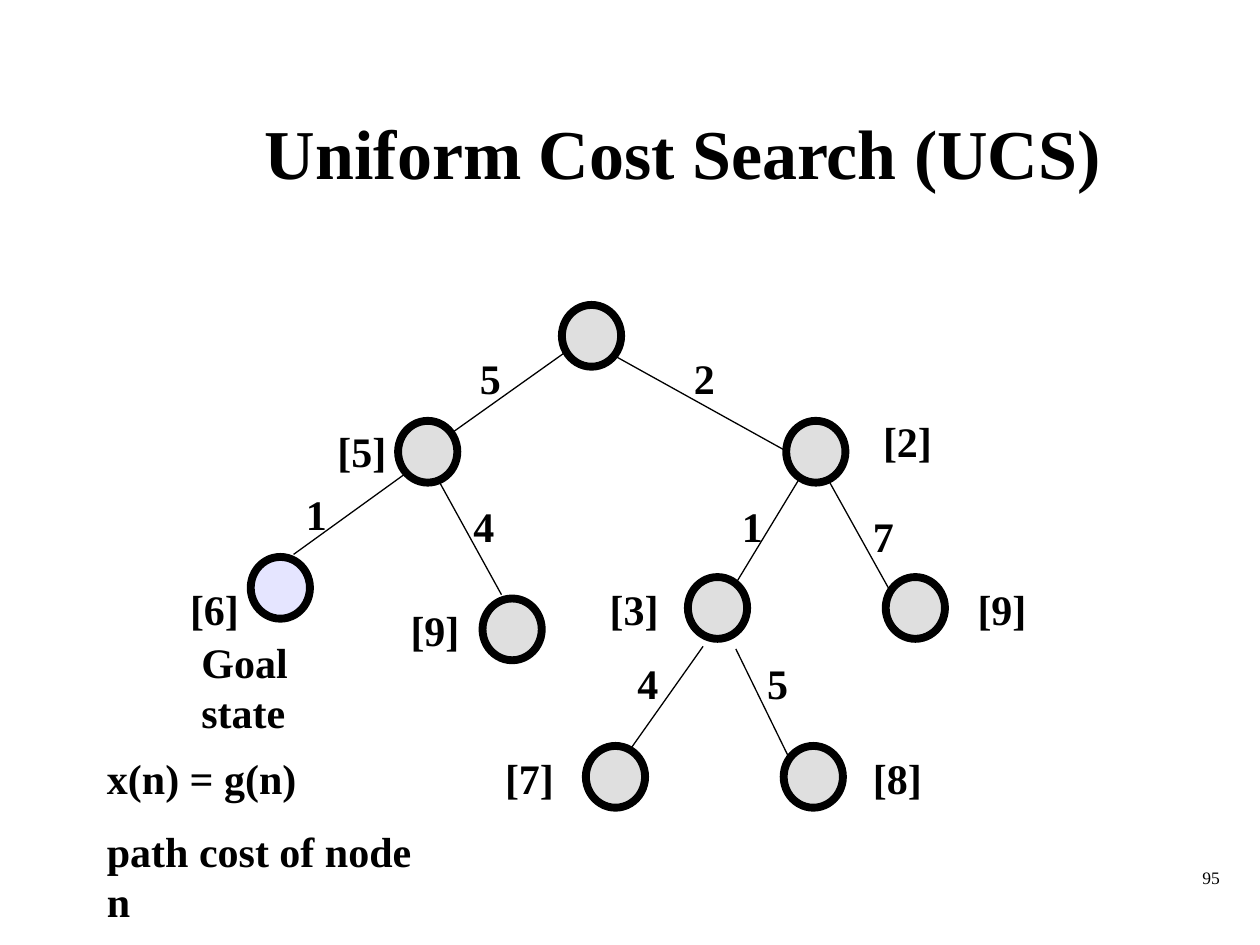
"""Build a slide with a uniform cost search tree."""
from typing import NamedTuple

from lxml.etree import SubElement
from pptx import Presentation
from pptx.dml.color import RGBColor
from pptx.enum.shapes import MSO_CONNECTOR, MSO_SHAPE
from pptx.enum.text import MSO_ANCHOR, MSO_AUTO_SIZE, PP_ALIGN
from pptx.oxml.ns import qn
from pptx.util import Inches, Pt

FONT = "Times New Roman"
COLORS = {"ink": "000000", "node": "C0C0C0", "goal": "CCCCFF"}


class Node(NamedTuple):
    x: float
    y: float
    fill: str = "node"


class Edge(NamedTuple):
    x1: float
    y1: float
    x2: float
    y2: float


class Label(NamedTuple):
    text: str
    x: float
    y: float


NODES = [
    Node(4.46, 2.42), Node(3.16, 3.34), Node(6.24, 3.34),
    Node(1.99, 4.42, "goal"), Node(3.83, 4.75),
    Node(5.46, 4.58), Node(7.03, 4.58),
    Node(4.65, 5.92), Node(6.22, 5.92),
]
EDGES = [
    Edge(4.48, 2.8, 3.58, 3.44), Edge(4.87, 2.82, 6.24, 3.58),
    Edge(3.23, 3.75, 2.33, 4.4), Edge(3.49, 3.83, 3.98, 4.72),
    Edge(6.35, 3.79, 5.84, 4.63), Edge(6.58, 3.82, 7.07, 4.7),
    Edge(5.58, 5.13, 5, 5.95), Edge(5.84, 5.15, 6.26, 6.01),
]
COSTS = [
    Label("5", 3.71, 2.75), Label("2", 5.41, 2.75),
    Label("1", 2.33, 3.83), Label("4", 3.66, 3.92),
    Label("1", 5.79, 3.92), Label("7", 6.83, 4),
    Label("4", 4.96, 5.17), Label("5", 5.99, 5.17),
]
TOTALS = [
    Label("[5]", 2.58, 3.33), Label("[2]", 6.91, 3.25),
    Label("[6]", 1.41, 4.58), Label("[9]", 3.16, 4.75),
    Label("[3]", 4.74, 4.58), Label("[9]", 7.66, 4.58),
    Label("[7]", 3.91, 5.92), Label("[8]", 6.83, 5.92),
]


def color(name: str) -> RGBColor:
    """Return a named colour."""
    return RGBColor.from_string(COLORS[name])


def style(para, size: float, bold: bool = True) -> None:
    """Set the font of a paragraph."""
    font = para.font
    font.name, font.size, font.bold = FONT, Pt(size), bold
    font.color.rgb = color("ink")


def draw_node(slide, node: Node) -> None:
    """Draw a half-transparent tree node."""
    oval = slide.shapes.add_shape(
        MSO_SHAPE.OVAL, Inches(node.x), Inches(node.y), Inches(0.47), Inches(0.49))
    oval.shadow.inherit = False
    oval.fill.solid()
    oval.fill.fore_color.rgb = color(node.fill)
    tint = oval.fill._xPr.find(qn("a:solidFill"))[0]
    SubElement(tint, qn("a:alpha"), val="50000")
    oval.line.color.rgb = color("ink")
    oval.line.width = Pt(4.5)


def draw_edge(slide, edge: Edge) -> None:
    """Draw a thin line between two nodes."""
    line = slide.shapes.add_connector(
        MSO_CONNECTOR.STRAIGHT, *(Inches(value) for value in edge))
    line.line.color.rgb = color("ink")
    line.line.width = Pt(0.75)
    SubElement(line._element.spPr, qn("a:effectLst"))


def draw_text(slide, label: Label, width: float, height: float = 0.5,
              wrap: bool = False, size: float = 24, bold: bool = True):
    """Draw a text box with one paragraph per line and return its frame."""
    box = slide.shapes.add_textbox(
        Inches(label.x), Inches(label.y), Inches(width), Inches(height))
    frame = box.text_frame
    frame.word_wrap = wrap
    frame.auto_size = MSO_AUTO_SIZE.SHAPE_TO_FIT_TEXT
    frame.text = label.text
    for para in frame.paragraphs:
        style(para, size, bold)
    return frame


def draw_title(slide, text: str) -> None:
    """Place and format the title."""
    title = slide.shapes.title
    title.left, title.top = Inches(1.17), Inches(0.58)
    title.width, title.height = Inches(8.5), Inches(1.25)
    frame = title.text_frame
    frame.text = text
    frame.vertical_anchor = MSO_ANCHOR.MIDDLE
    para = frame.paragraphs[0]
    para.alignment = PP_ALIGN.CENTER
    style(para, 40)


def main() -> None:
    """Build and save the slide."""
    deck = Presentation()
    deck.slide_width, deck.slide_height = Inches(10), Inches(7.5)
    slide = deck.slides.add_slide(deck.slide_layouts[5])
    draw_title(slide, "Uniform Cost Search (UCS)")
    for edge in EDGES:
        draw_edge(slide, edge)
    for node in NODES:
        draw_node(slide, node)
    for cost in COSTS:
        draw_text(slide, cost, 0.37)
    for total in TOTALS:
        draw_text(slide, total, 0.59)
    draw_text(slide, Label("Goal state", 1.5, 5), 1.58, 0.9, wrap=True)
    note = Label("x(n) = g(n)\npath cost of node n", 0.75, 5.92)
    frame = draw_text(slide, note, 2.75, 1.51, wrap=True)
    frame.paragraphs[1].space_before = Pt(13)
    page = draw_text(slide, Label("95", 7.7, 6.83), 2.08, wrap=True, size=10, bold=False)
    page.auto_size = MSO_AUTO_SIZE.NONE
    page.paragraphs[0].alignment = PP_ALIGN.RIGHT
    deck.save("out.pptx")


if __name__ == "__main__":
    main()
